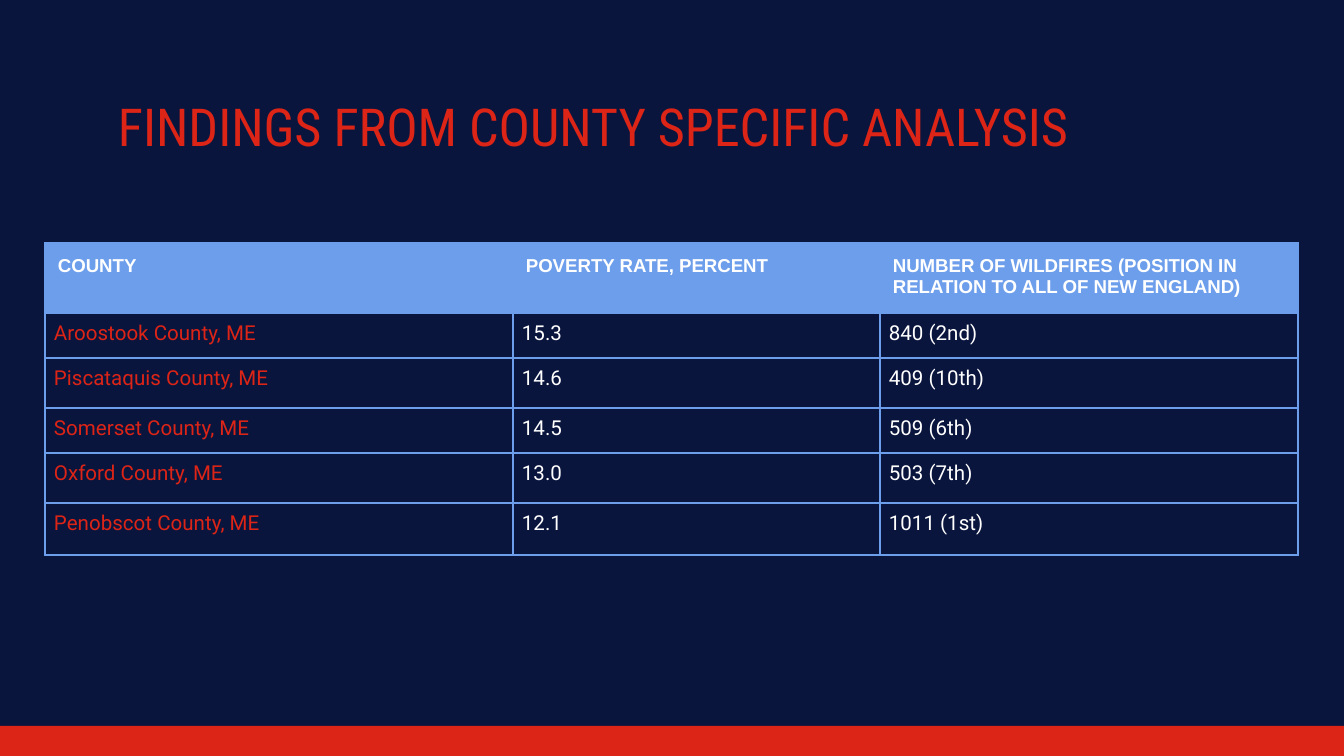
from lxml.etree import SubElement
from pptx import Presentation
from pptx.dml.color import RGBColor
from pptx.enum.shapes import MSO_SHAPE
from pptx.enum.text import MSO_ANCHOR, MSO_AUTO_SIZE, PP_ALIGN
from pptx.oxml.ns import qn
from pptx.util import Pt

NAVY = RGBColor(0x0A, 0x15, 0x3D)
RED = RGBColor(0xDC, 0x24, 0x17)
BLUE = RGBColor(0x6D, 0x9E, 0xEB)
WHITE = RGBColor(0xFF, 0xFF, 0xFF)
SCALE = 914400 / 134.4
WIDTH, HEIGHT = 1344, 756

TITLE = {"name": "Roboto Condensed", "size": Pt(28), "bold": False}
HEADER = {"name": "Arial", "size": Pt(10), "bold": True}
BODY = {"name": "Roboto", "size": Pt(11), "bold": False}
HEADER_BORDERS = {"L": 1.5, "R": 1.5, "T": 1.5, "B": 1}
BODY_BORDERS = dict.fromkeys("LRTB", 1)
COLUMNS = [468, 367, 418]
ROWS = [70, 45, 50, 45, 50, 52]
COUNTIES = [
    ("COUNTY", "POVERTY RATE, PERCENT",
     "NUMBER OF WILDFIRES (POSITION IN RELATION TO ALL OF NEW ENGLAND)"),
    ("Aroostook County, ME", "15.3", "840 (2nd)"),
    ("Piscataquis County, ME", "14.6", "409 (10th)"),
    ("Somerset County, ME", "14.5", "509 (6th)"),
    ("Oxford County, ME", "13.0", "503 (7th)"),
    ("Penobscot County, ME", "12.1", "1011 (1st)"),
]


def px(n):
    return round(n * SCALE)


class Deck:
    """Holds the style and the current slide, and draws each kind of element."""

    def __init__(self):
        self.prs = Presentation()
        self.prs.slide_width, self.prs.slide_height = px(WIDTH), px(HEIGHT)
        self.s = self.prs.slides.add_slide(self.prs.slide_layouts[5])
        self.paint(self.s.background.fill, NAVY)

    def paint(self, fill, color):
        fill.solid()
        fill.fore_color.rgb = color

    def text(self, tf, text, style, color, align):
        p = tf.paragraphs[0]
        p.alignment = align
        r = p.add_run()
        r.text = text
        for key, value in style.items():
            setattr(r.font, key, value)
        r.font.color.rgb = color

    def inset(self, box, n):
        for side in ("left", "top", "right", "bottom"):
            setattr(box, f"margin_{side}", px(n))

    def title(self, text, x, y, w, h):
        sp = self.s.shapes.title
        sp.left, sp.top, sp.width, sp.height = map(px, (x, y, w, h))
        tf = sp.text_frame
        tf.word_wrap = True
        tf.auto_size = MSO_AUTO_SIZE.NONE
        tf.vertical_anchor = MSO_ANCHOR.TOP
        self.inset(tf, 13)
        self.text(tf, text, TITLE, RED, PP_ALIGN.LEFT)

    def bar(self, x, y, w, h, color):
        sp = self.s.shapes.add_shape(MSO_SHAPE.RECTANGLE, *map(px, (x, y, w, h)))
        sp.shadow.inherit = False
        self.paint(sp.fill, color)
        sp.line.fill.background()

    def borders(self, cell, widths):
        tc_pr = cell._tc.get_or_add_tcPr()
        for side, width in widths.items():
            ln = SubElement(tc_pr, qn(f"a:ln{side}"), w=str(Pt(width)))
            SubElement(SubElement(ln, qn("a:solidFill")), qn("a:srgbClr"), val=str(BLUE))

    def header_cell(self, cell, text):
        self.inset(cell, 13)
        self.text(cell.text_frame, text, HEADER, WHITE, PP_ALIGN.LEFT)
        self.borders(cell, HEADER_BORDERS)
        self.paint(cell.fill, BLUE)

    def body_cell(self, cell, text, color):
        self.inset(cell, 9)
        self.text(cell.text_frame, text, BODY, color, PP_ALIGN.JUSTIFY)
        self.borders(cell, BODY_BORDERS)
        cell.fill.background()

    def table(self, rows, x, y, widths, heights):
        frame = self.s.shapes.add_table(
            len(rows), len(widths), *map(px, (x, y, sum(widths), sum(heights))))
        table = frame.table
        for column, width in zip(table.columns, widths):
            column.width = px(width)
        for i, (row, height) in enumerate(zip(rows, heights)):
            table.rows[i].height = px(height)
            for j, text in enumerate(row):
                cell = table.cell(i, j)
                if i == 0:
                    self.header_cell(cell, text)
                else:
                    self.body_cell(cell, text, WHITE if j else RED)


def main():
    deck = Deck()
    deck.bar(0, 726, WIDTH, 30, RED)
    deck.title("FINDINGS FROM COUNTY SPECIFIC ANALYSIS", 105, 81, 1134, 69)
    deck.table(COUNTIES, 45, 243, COLUMNS, ROWS)
    deck.prs.save("out.pptx")


if __name__ == "__main__":
    main()
